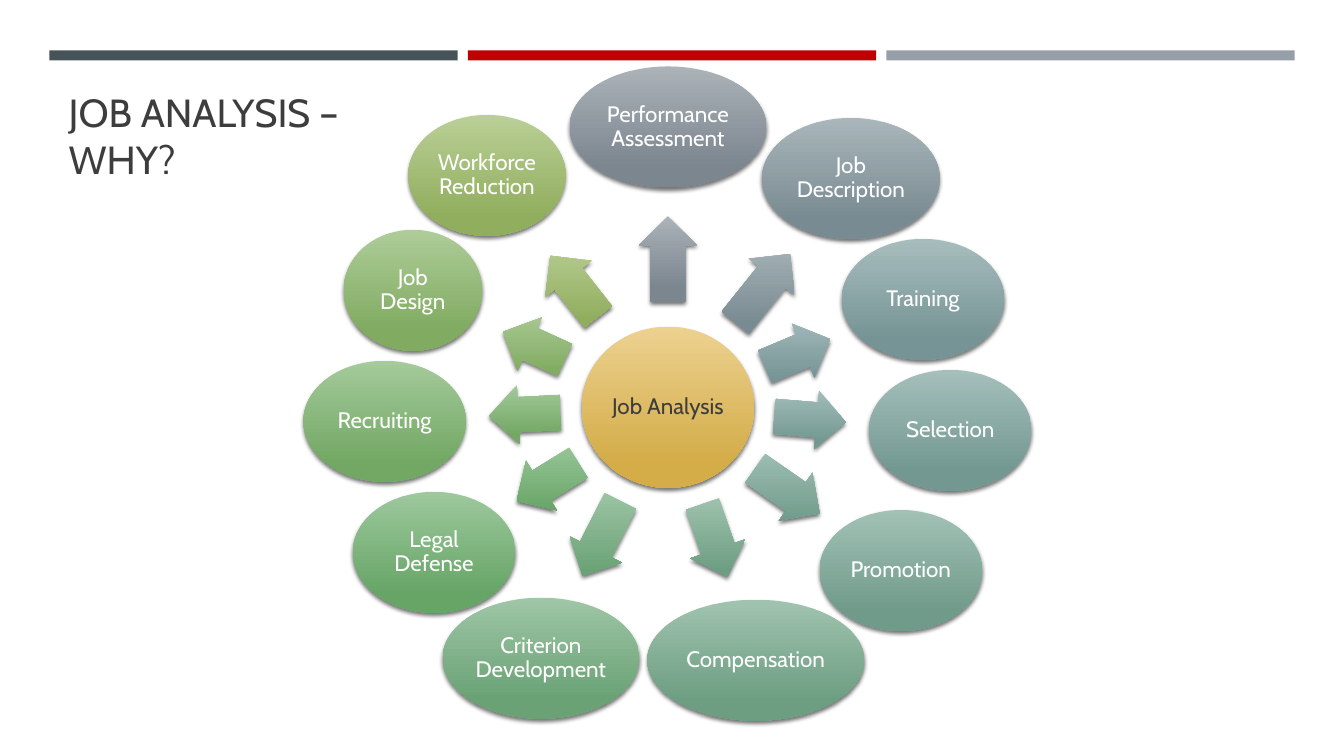
"""Build the job analysis radial diagram slide."""
from dataclasses import dataclass
from math import atan2, degrees

from lxml import etree
from pptx import Presentation
from pptx.dml.color import RGBColor
from pptx.enum.shapes import MSO_SHAPE
from pptx.enum.text import MSO_ANCHOR, MSO_AUTO_SIZE, PP_ALIGN
from pptx.oxml.ns import qn
from pptx.shapes.autoshape import Shape
from pptx.shapes.shapetree import GroupShapes
from pptx.slide import Slide
from pptx.util import Inches, Pt

RECTANGLE = MSO_SHAPE.RECTANGLE
OVAL = MSO_SHAPE.OVAL
RIGHT_ARROW = MSO_SHAPE.RIGHT_ARROW
MIDDLE = MSO_ANCHOR.MIDDLE
BOTTOM = MSO_ANCHOR.BOTTOM
CENTER = PP_ALIGN.CENTER
LEFT = PP_ALIGN.LEFT
NO_AUTOFIT = MSO_AUTO_SIZE.NONE


@dataclass(frozen=True)
class Theme:
    """Colours, font and type sizes of the slide."""

    font: str = "Cabin"
    title_size: int = 28
    label_size: int = 16
    dark: str = "3D3D3D"
    white: str = "FFFFFF"
    shadow: str = "000000"
    bars: tuple[str, ...] = ("465359", "C00000", "969FA7")


@dataclass(frozen=True)
class Bubble:
    """An ellipse with a label and a two-colour gradient."""

    label: str
    left: float
    top: float
    width: float
    light: str
    deep: str
    height: float = 1.2

    @property
    def center(self) -> tuple[float, float]:
        """Return the middle point of the ellipse."""
        return self.left + self.width / 2, self.top + self.height / 2


@dataclass(frozen=True)
class Spoke:
    """A purpose of job analysis and the arrow that leads to it."""

    bubble: Bubble
    arrow_left: float
    arrow_top: float
    arrow_length: float


THEME = Theme()
ARROW_HEIGHT = 0.58
HUB = Bubble("Job Analysis", 5.77, 3.24, 1.71, "ECD190", "D4AD49", 1.6)
SPOKES = (
    Spoke(Bubble("Performance Assessment", 5.65, 0.66, 1.95, "ABB2B8", "7C868F"), 6.2, 2.28, 0.85),
    Spoke(Bubble("Job Description", 7.56, 1.17, 1.76, "A9B6BA", "798B92"), 7.13, 2.57, 0.87),
    Spoke(Bubble("Training", 8.35, 2.37, 1.61, "A7BCBD", "769495"), 7.56, 3.21, 0.7),
    Spoke(Bubble("Selection", 8.62, 3.67, 1.61, "A5BFBB", "739892"), 7.68, 3.87, 0.71),
    Spoke(Bubble("Promotion", 8.13, 5.06, 1.61, "A2C1B6", "709B8B"), 7.42, 4.58, 0.78),
    Spoke(Bubble("Compensation", 6.42, 5.95, 2.15, "A0C3AF", "6D9E82"), 6.71, 5.07, 0.76),
    Spoke(Bubble("Criterion Development", 4.39, 5.93, 1.95, "9FC6A7", "6AA275"), 5.55, 5.05, 0.83),
    Spoke(Bubble("Legal Defense", 3.5, 4.88, 1.61, "9DC89D", "67A567"), 5.07, 4.49, 0.72),
    Spoke(Bubble("Recruiting", 3.01, 3.58, 1.61, "A5CA9B", "72A864"), 4.85, 3.82, 0.71),
    Spoke(Bubble("Job Design", 3.41, 2.28, 1.37, "AECC99", "80AB61"), 4.96, 3.14, 0.67),
    Spoke(Bubble("Workforce Reduction", 4.05, 1.14, 1.56, "BACF97", "91AE5E"), 5.31, 2.55, 0.77),
)


def write(shape: Shape, text: str, size: int, color: str, align: PP_ALIGN) -> None:
    """Put one formatted run into the shape."""
    frame = shape.text_frame
    frame.word_wrap = True
    para = frame.paragraphs[0]
    para.alignment = align
    span = para.add_run()
    span.text = text
    span.font.name = THEME.font
    span.font.size = Pt(size)
    span.font.color.rgb = RGBColor.from_string(color)


def style(shape: Shape, light: str, deep: str) -> None:
    """Give the shape an upright gradient, no outline and a soft shadow."""
    shape.line.fill.background()
    shape.fill.gradient()
    shape.fill.gradient_angle = 270
    for stop, position, color in zip(shape.fill.gradient_stops, (0, 0.84), (light, deep)):
        stop.position = position
        stop.color.rgb = RGBColor.from_string(color)
    shape.shadow.inherit = False
    properties = shape._element.spPr
    properties.find(qn("a:gradFill")).set("rotWithShape", "0")
    shadow = etree.SubElement(
        properties.find(qn("a:effectLst")), qn("a:outerShdw"),
        blurRad=str(Pt(3)), dist=str(Pt(2)), dir="5400000", rotWithShape="0",
    )
    color = etree.SubElement(shadow, qn("a:srgbClr"), val=THEME.shadow)
    etree.SubElement(color, qn("a:alpha"), val="55000")


def draw_bubble(shapes: GroupShapes, bubble: Bubble, text_color: str) -> None:
    """Draw a labelled ellipse."""
    box = shapes.add_shape(
        OVAL, Inches(bubble.left), Inches(bubble.top), Inches(bubble.width), Inches(bubble.height)
    )
    style(box, bubble.light, bubble.deep)
    frame = box.text_frame
    frame.margin_left = frame.margin_right = frame.margin_top = frame.margin_bottom = Inches(0.02)
    frame.vertical_anchor = MIDDLE
    write(box, bubble.label, THEME.label_size, text_color, CENTER)
    frame.paragraphs[0].line_spacing = 0.9


def draw_arrow(shapes: GroupShapes, spoke: Spoke) -> None:
    """Draw the arrow, turned from the hub towards its bubble."""
    arrow = shapes.add_shape(
        RIGHT_ARROW, Inches(spoke.arrow_left), Inches(spoke.arrow_top),
        Inches(spoke.arrow_length), Inches(ARROW_HEIGHT),
    )
    arrow.adjustments[0] = 0.6
    arrow.adjustments[1] = 0.5
    hub_x, hub_y = HUB.center
    bubble_x, bubble_y = spoke.bubble.center
    arrow.rotation = round(degrees(atan2(bubble_y - hub_y, bubble_x - hub_x)), 1) % 360
    style(arrow, spoke.bubble.light, spoke.bubble.deep)


def draw_bars(page: Slide) -> None:
    """Draw the three bars across the top."""
    for index, color in enumerate(THEME.bars):
        bar = page.shapes.add_shape(
            RECTANGLE, Inches(0.49 + 4.15 * index), Inches(0.5), Inches(4.05), Inches(0.1)
        )
        bar.shadow.inherit = False
        bar.fill.solid()
        bar.fill.fore_color.rgb = RGBColor.from_string(color)
        bar.line.fill.background()


def draw_title(page: Slide) -> None:
    """Place and format the title."""
    title = page.shapes.title
    title.left, title.top = Inches(0.58), Inches(0.75)
    title.width, title.height = Inches(3.08), Inches(1.11)
    title.text_frame.vertical_anchor = BOTTOM
    title.text_frame.auto_size = NO_AUTOFIT
    write(title, "JOB ANALYSIS – WHY?", THEME.title_size, THEME.dark, LEFT)


def main() -> None:
    """Build the slide and save it."""
    deck = Presentation()
    deck.slide_width, deck.slide_height = Inches(13.33), Inches(7.5)
    page = deck.slides.add_slide(deck.slide_layouts[5])
    draw_bars(page)
    draw_title(page)
    diagram = page.shapes.add_group_shape().shapes
    draw_bubble(diagram, HUB, THEME.dark)
    for spoke in SPOKES:
        draw_arrow(diagram, spoke)
        draw_bubble(diagram, spoke.bubble, THEME.white)
    deck.save("out.pptx")


if __name__ == "__main__":
    main()
